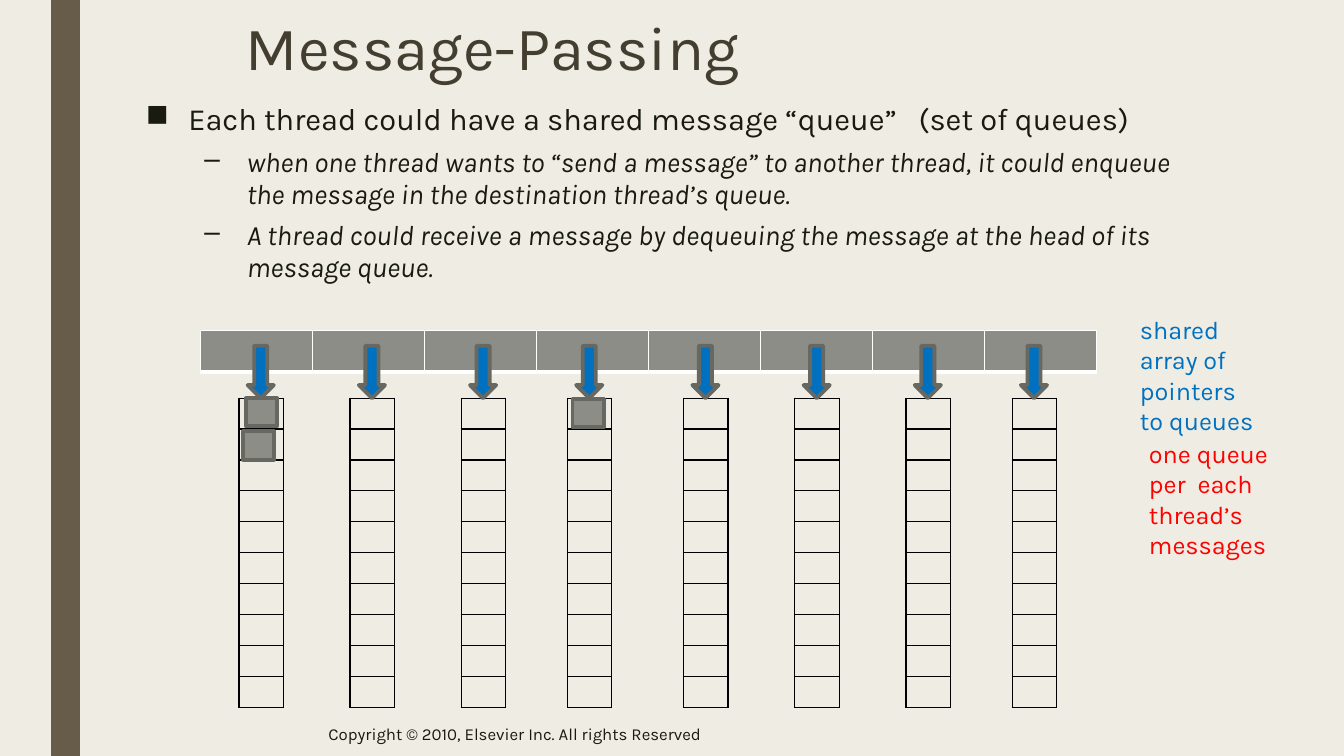
from lxml import etree
from pptx import Presentation
from pptx.dml.color import RGBColor
from pptx.enum.shapes import MSO_SHAPE
from pptx.enum.text import MSO_ANCHOR, PP_ALIGN
from pptx.oxml.ns import qn
from pptx.util import Inches, Pt

RECTANGLE, DOWN_ARROW = MSO_SHAPE.RECTANGLE, MSO_SHAPE.DOWN_ARROW
TOP, MIDDLE, LEFT = MSO_ANCHOR.TOP, MSO_ANCHOR.MIDDLE, PP_ALIGN.LEFT
TITLE_ONLY = 5

# The grid has ten columns and ten rows to the inch
COLUMNS, ROWS, CELL = 133.33, 75, 0.1
THREADS, SLOTS = 8, 10


def grid(*counts):
    return [Inches(count * CELL) for count in counts]


def color(hex_string):
    return RGBColor.from_string(hex_string)


def write(para, text, size=18, ink="191B0E", italic=False, spacing=None,
          before=0, after=0, bullet=None, indent=0, hang=0):
    """Fill a paragraph; a vertical tab in the text breaks the line."""
    para.text = text
    para.alignment = LEFT
    para.space_before, para.space_after = Pt(before), Pt(after)
    if spacing:
        para.line_spacing = spacing
    if bullet:
        properties = para._p.get_or_add_pPr()
        properties.set("marL", str(Inches(indent)))
        properties.set("indent", str(-Inches(hang)))
        etree.SubElement(properties, qn("a:buChar"), char=bullet)
    for span in para.runs:
        span.font.name = "Karla"
        span.font.size = Pt(size)
        span.font.italic = italic
        span.font.color.rgb = color(ink)


class Page:
    paper, bar, title_ink = "EFEDE3", "675C49", "443E30"
    gray, outline = "8C8D86", "686863"
    blue, red, white, black = "0070C0", "FF0000", "FFFFFF", "000000"

    def __init__(self, deck):
        self.slide = deck.slides.add_slide(deck.slide_layouts[TITLE_ONLY])
        self.shapes = self.slide.shapes
        fill = self.slide.background.fill
        fill.solid()
        fill.fore_color.rgb = color(self.paper)

    def title(self, text, *place):
        box = self.shapes.title
        box.left, box.top, box.width, box.height = grid(*place)
        box.text_frame.vertical_anchor = MIDDLE
        write(box.text_frame.paragraphs[0], text, size=44,
              ink=self.title_ink, spacing=0.89)

    def text(self, items, *place, anchor=TOP):
        frame = self.shapes.add_textbox(*grid(*place)).text_frame
        frame.word_wrap = True
        frame.vertical_anchor = anchor
        for index, (text, style) in enumerate(items):
            para = frame.add_paragraph() if index else frame.paragraphs[0]
            write(para, text, **style)

    def shape(self, kind, fill, line, *place):
        box = self.shapes.add_shape(kind, *grid(*place))
        box.shadow.inherit = False
        box.fill.solid()
        box.fill.fore_color.rgb = color(fill)
        box.line.color.rgb = color(line)
        box.line.width = Pt(2.75)

    def table(self, rows, columns, *place, line, bottom=1, fill=None):
        table = self.shapes.add_table(rows, columns, *grid(*place)).table
        table.first_row = table.horz_banding = False
        for cell in table.iter_cells():
            cell.margin_top = cell.margin_bottom = 0
            para = cell.text_frame.paragraphs[0]
            etree.SubElement(para._p, qn("a:endParaRPr"), sz="1000")
            self.borders(cell, line, bottom)
            if fill:
                cell.fill.solid()
                cell.fill.fore_color.rgb = color(fill)
            else:
                cell.fill.background()

    def borders(self, cell, line, bottom):
        properties = cell._tc.get_or_add_tcPr()
        for side, width in zip("LRTB", (1, 1, 1, bottom)):
            edge = etree.SubElement(properties, qn(f"a:ln{side}"),
                                    w=str(Pt(width)))
            paint = etree.SubElement(edge, qn("a:solidFill"))
            etree.SubElement(paint, qn("a:srgbClr"), val=line)


def main():
    deck = Presentation()
    deck.slide_width, deck.slide_height = grid(COLUMNS, ROWS)
    page = Page(deck)

    # Side bar, title and explanation
    page.shape(RECTANGLE, page.bar, page.bar, 5.2, 0, 2.5, ROWS)
    page.title("Message-Passing", 23.4, 1.2, 90.6, 7.7)
    point = dict(size=22, spacing=0.94, after=2, bullet="■",
                 indent=0.42, hang=0.42)
    detail = dict(point, size=20, italic=True, before=5, bullet="–", indent=1)
    page.text([
        ("Each thread could have a shared message “queue”   (set of queues)",
         point),
        ("when one thread wants to “send a message” to another thread, it "
         "could enqueue the message in the destination thread’s queue.",
         detail),
        ("A thread could receive a message by dequeuing the message at the "
         "head of its message queue.", detail),
    ], 13.5, 9.7, 105, 22.4)
    page.text([("Copyright © 2010, Elsevier Inc. All rights Reserved",
                dict(size=12))], 31.6, 70.6, 68.7, 4.4, anchor=MIDDLE)

    # Shared array of pointers
    page.table(1, THREADS, 19.9, 32.8, 88.9, 4.1,
               line=page.white, bottom=3, fill=page.gray)

    # One queue with its pointer per thread; every fourth sits a little left
    for thread in range(THREADS):
        left = 23.7 + 11.03 * thread - (0.5 if thread % 4 == 3 else 0)
        page.table(SLOTS, 1, left, 39.5, 4.4, 30.7, line=page.black)
        page.shape(DOWN_ARROW, page.blue, page.outline,
                   left + 0.87, 34.3, 2.6, 5.2)

    # Captions
    page.text([("shared\varray of pointers\vto queues", dict(ink=page.blue))],
              112.1, 30.7, 19.3, 10.1)
    page.text([("one queue\vper  each thread’s messages",
                dict(ink=page.red))], 113, 43, 14.4, 13.1)

    # Queued messages
    for left, top in ((24.4, 39.5), (56.8, 39.6), (24.1, 42.8)):
        page.shape(RECTANGLE, page.gray, page.outline, left, top, 3.1, 2.8)

    deck.save("out.pptx")


if __name__ == "__main__":
    main()
